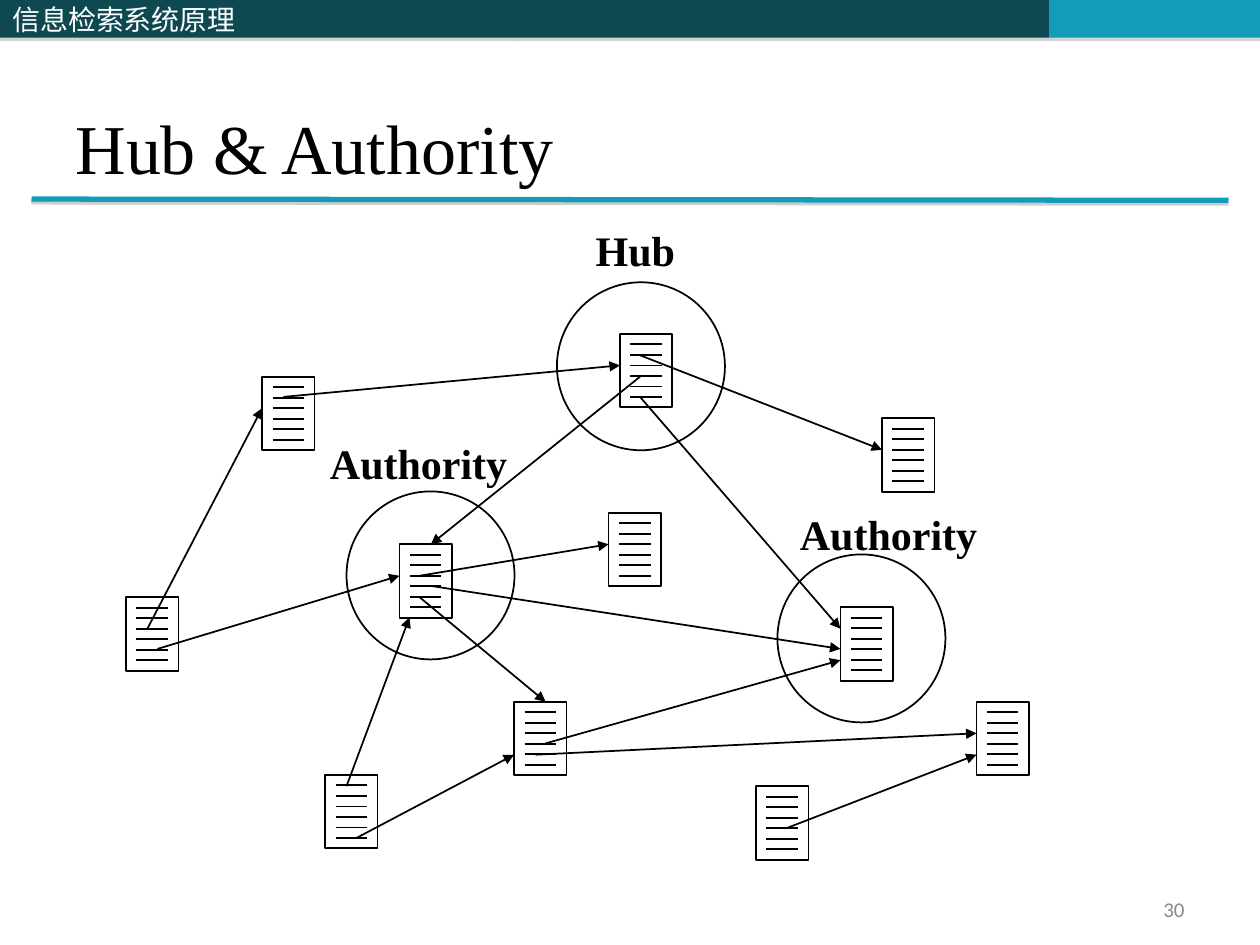
from lxml.etree import SubElement
from pptx import Presentation
from pptx.dml.color import RGBColor
from pptx.enum.shapes import MSO_CONNECTOR, MSO_SHAPE
from pptx.enum.text import MSO_ANCHOR as Anchor, PP_ALIGN as Align
from pptx.oxml.ns import qn
from pptx.util import Inches, Pt

SERIF = "Times New Roman"
DARK, TEAL, BLACK, WHITE = "0E4851", "139CB7", "000000", "FFFFFF"
STEP = 1 / 12
DOC_WIDTH, DOC_HEIGHT = 5 * STEP, 7 * STEP
CIRCLE_SIZE = 16 * STEP

DOCUMENTS = [
    (1, 4.74), (2.08, 2.99), (4.83, 4.07), (2.58, 6.15), (3.17, 4.32), (4.92, 2.65),
    (4.08, 5.57), (7, 3.32), (7.75, 5.57), (6.67, 4.82), (6, 6.24),
]
LINKS = [
    ((1.17, 4.99), (2.08, 3.24)), ((2.25, 3.15), (4.92, 2.9)),
    ((5.08, 2.99), (3.42, 4.32)), ((1.25, 5.15), (3.17, 4.57)),
    ((3.33, 4.74), (4.33, 5.57)), ((2.83, 6.65), (4.08, 5.99)),
    ((3.33, 4.57), (4.83, 4.32)), ((2.75, 6.24), (3.25, 4.9)),
    ((3.42, 4.65), (6.67, 5.15)), ((4.33, 5.9), (6.67, 5.24)),
    ((5.08, 3.15), (6.67, 4.99)), ((5.08, 2.82), (7, 3.57)),
    ((4.25, 5.99), (7.75, 5.82)), ((6.25, 6.57), (7.75, 5.99)),
]
CIRCLES = [(6.17, 4.4), (4.42, 2.24), (2.75, 3.9)]
LABELS = [
    ("Authority", 6.25, 3.99, 1.62),
    ("Authority", 2.52, 3.42, 1.62),
    ("Hub", 4.63, 1.73, 0.84),
]


def color(value):
    return RGBColor.from_string(value)


def add_shadow(effects, opacity, distance):
    shadow = SubElement(effects, qn("a:outerShdw"), blurRad="0", dist=str(Pt(distance)),
                        dir="5400000", rotWithShape="0")
    tint = SubElement(shadow, qn("a:srgbClr"), val="808080")
    SubElement(tint, qn("a:alpha"), val=str(opacity * 1000))


def add_line(shapes, start, end, line_color=BLACK, weight=1):
    points = [Inches(value) for value in (*start, *end)]
    line = shapes.add_connector(MSO_CONNECTOR.STRAIGHT, *points)
    line.line.color.rgb = color(line_color)
    line.line.width = Pt(weight)
    effects = SubElement(line._element.spPr, qn("a:effectLst"))
    return line, effects


def add_arrow(shapes, start, end):
    arrow, _ = add_line(shapes, start, end)
    SubElement(arrow.line._get_or_add_ln(), qn("a:tailEnd"), type="triangle")


def add_outline(shapes, preset, left, top, width, height):
    shape = shapes.add_shape(preset, Inches(left), Inches(top), Inches(width), Inches(height))
    shape.shadow.inherit = False
    shape.fill.background()
    shape.line.color.rgb = color(BLACK)
    shape.line.width = Pt(1)


def add_bar(shapes, left, width, fill_color):
    bar = shapes.add_shape(MSO_SHAPE.RECTANGLE, Inches(left), 0, Inches(width), Inches(0.3))
    bar.shadow.inherit = False
    bar.fill.solid()
    bar.fill.fore_color.rgb = color(fill_color)
    bar.line.fill.background()
    add_shadow(bar._element.spPr.find(qn("a:effectLst")), 35, 1.8)
    return bar


def write_text(box, text, size, font, text_color, align=Align.LEFT, bold=False):
    para = box.text_frame.paragraphs[0]
    para.alignment = align
    span = para.add_run()
    span.text = text
    span.font.size = Pt(size)
    span.font.name = font
    span.font.bold = bold
    span.font.color.rgb = color(text_color)
    return span


def add_text(shapes, text, left, top, width, height, wrap, anchor, **style):
    box = shapes.add_textbox(Inches(left), Inches(top), Inches(width), Inches(height))
    box.text_frame.word_wrap = wrap
    box.text_frame.vertical_anchor = anchor
    write_text(box, text, **style)


def add_header(shapes):
    add_bar(shapes, 4.08, 4.25, DARK)
    add_bar(shapes, 8.33, 1.67, TEAL)
    _, effects = add_line(shapes, (0.25, 1.58), (9.75, 1.59), TEAL, 3)
    add_shadow(effects, 38, 1.6)
    course = add_bar(shapes, 0, 4.08, DARK)
    course.text_frame.vertical_anchor = Anchor.MIDDLE
    span = write_text(course, "信息检索系统原理", 16, "Noto Sans CJK SC", WHITE)
    SubElement(span.font._element, qn("a:ea"), typeface="Noto Sans CJK SC")


def set_title(title, text):
    title.left, title.top = Inches(0.5), Inches(0.3)
    title.width, title.height = Inches(9), Inches(1.25)
    title.text_frame.vertical_anchor = Anchor.BOTTOM
    write_text(title, text, 40, SERIF, BLACK)


def add_document(shapes, left, top):
    parts = shapes.add_group_shape().shapes
    add_outline(parts, MSO_SHAPE.RECTANGLE, left, top, DOC_WIDTH, DOC_HEIGHT)
    for row in range(1, 7):
        height = top + row * STEP
        add_line(parts, (left + STEP, height), (left + 4 * STEP, height))


def main():
    deck = Presentation()
    deck.slide_width, deck.slide_height = Inches(10), Inches(7.5)
    page = deck.slides.add_slide(deck.slide_layouts[5])
    shapes = page.shapes

    add_header(shapes)
    set_title(shapes.title, "Hub & Authority")
    add_text(shapes, "30", 7.17, 7.08, 2.33, 0.27, True, Anchor.MIDDLE,
             size=12, font="Calibri", text_color="898989", align=Align.RIGHT)
    for left, top in DOCUMENTS:
        add_document(shapes, left, top)
    for start, end in LINKS:
        add_arrow(shapes, start, end)
    for left, top in CIRCLES:
        add_outline(shapes, MSO_SHAPE.OVAL, left, top, CIRCLE_SIZE, CIRCLE_SIZE)
    for text, left, top, width in LABELS:
        add_text(shapes, text, left, top, width, 0.5, False, Anchor.TOP,
                 size=24, font=SERIF, text_color=BLACK, bold=True)
    deck.save("out.pptx")


if __name__ == "__main__":
    main()
